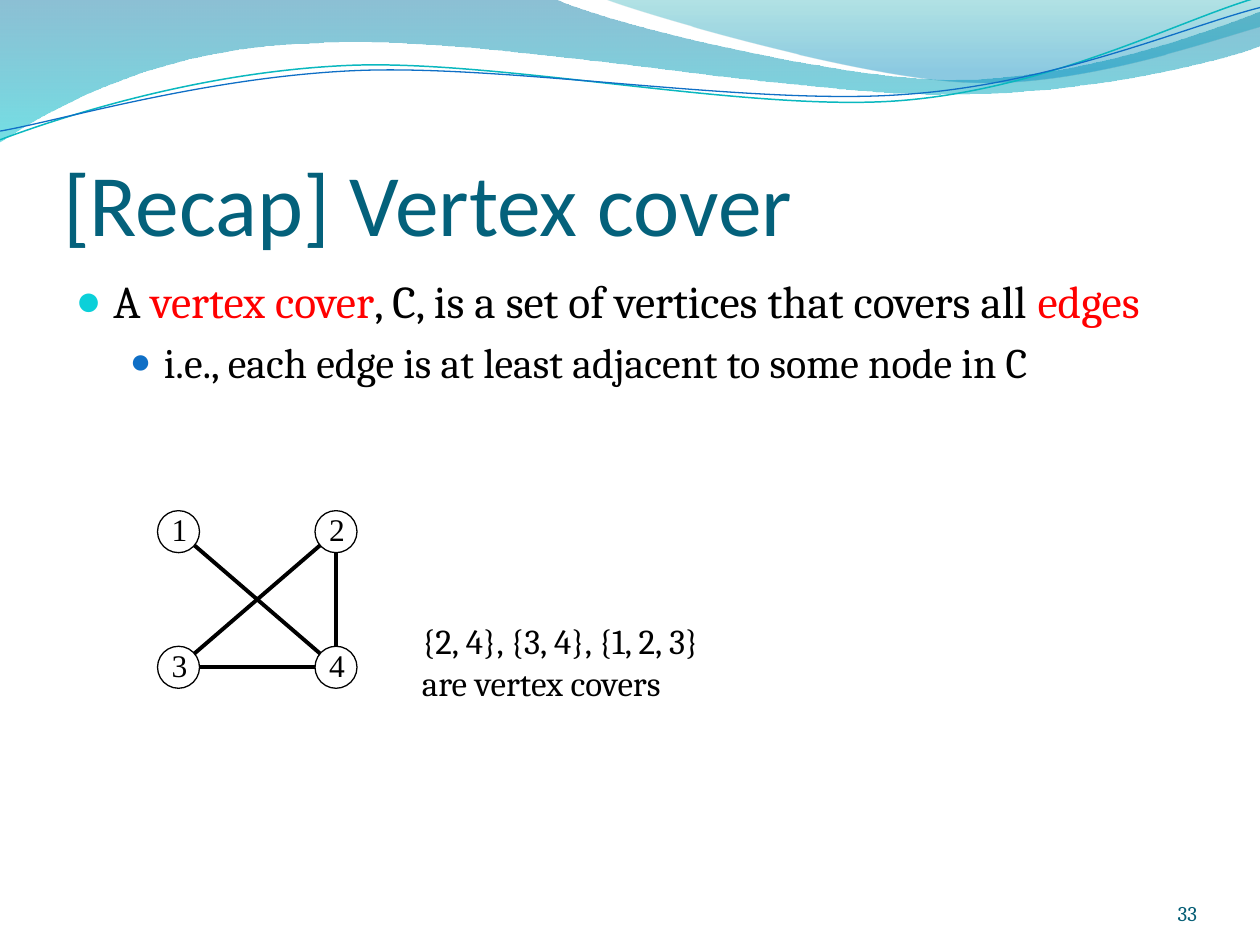
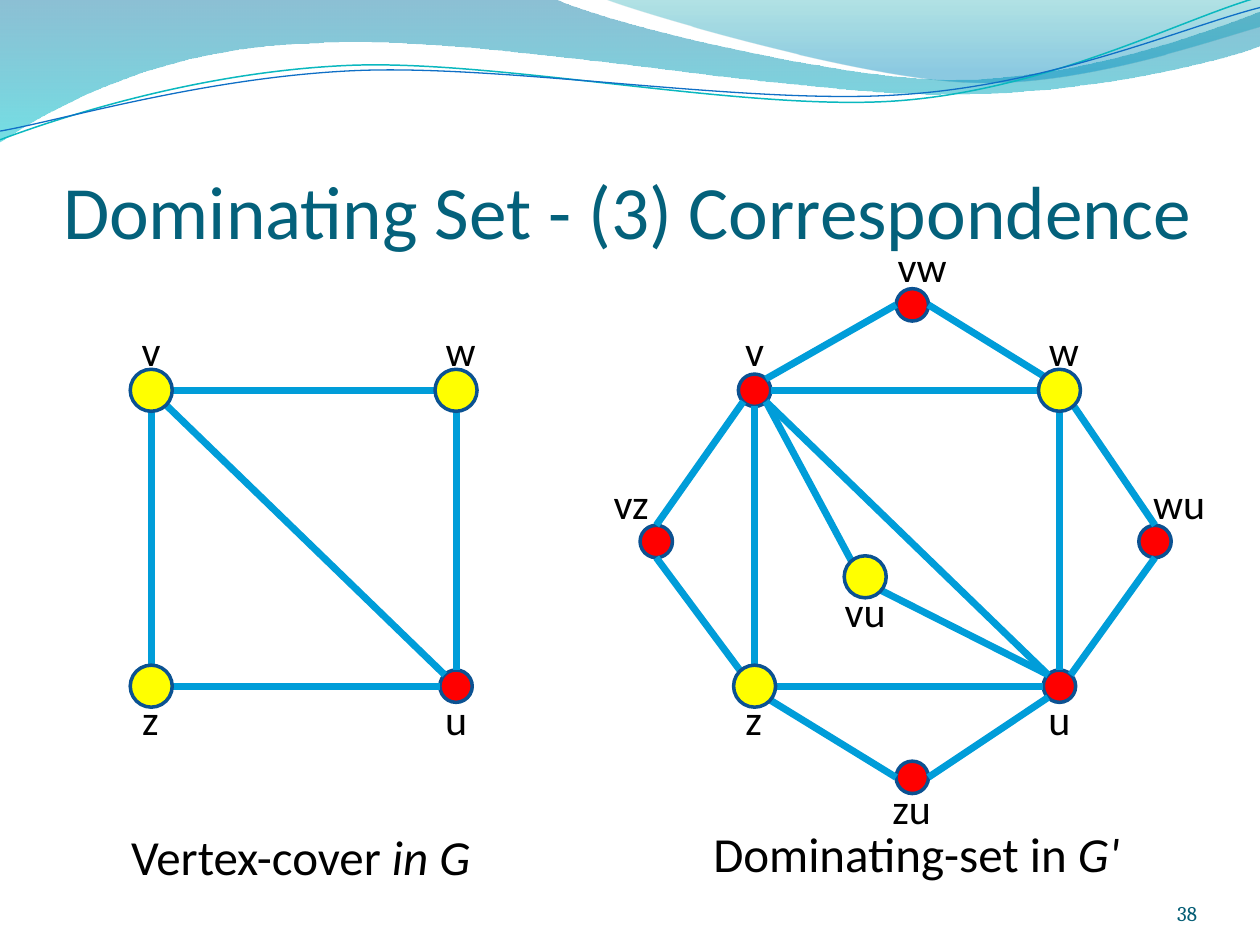
"""Build two slides on vertex covers and dominating sets."""
from dataclasses import dataclass

from lxml import etree
from pptx import Presentation
from pptx.dml.color import RGBColor
from pptx.enum import shapes, text
from pptx.oxml import ns
from pptx.util import Pt


@dataclass(frozen=True)
class Theme:
    """Hold the colours, fonts and type sizes."""
    ink: str = "000000"
    paper: str = "FFFFFF"
    title: str = "04617B"
    folio: str = "045D75"
    red: str = "FF0000"
    yellow: str = "FFFF00"
    rim: str = "0B5292"
    edge: str = "009DD9"
    teal: str = "0AB8BF"
    blue: str = "0F6FC6"
    aqua: str = "0BD0D9"
    sans: str = "Calibri"
    serif: str = "Cambria"
    roman: str = "Times New Roman"
    big: float = 50
    head: float = 43
    caption: float = 28
    lead: float = 26
    sub: float = 24
    note: float = 20
    digit: float = 18
    small: float = 12


T = Theme()
ALIGN = text.PP_ALIGN

BANDS = [
    ([(0, 0), (316.8, -0.7), (342.7, 12.2, 478.1, 45.4, 545.8, 45.4),
      (614.2, 45.4, 689.8, 18.7, 720, 6.5), (720.7, 25.9),
      (707.8, 31.7, 626.4, 54.7, 537.1, 54), (447.8, 54, 275, 20.2, 185, 24.5),
      (92.9, 25.9, 33.1, 59.8, -0.7, 81.4)],
     [(0, "0074A1", 45), (1, "00C6CF", 55)]),
    ([(344.9, -0.7), (366.5, 7.9, 491, 44.6, 553.7, 46.8),
      (616.3, 49.7, 691.9, 23, 720, 15.1), (720, 0)],
     [(0, "00A1A9", 30), (0.8, "008BBF", 45)]),
]
WAVES = [
    ([(0, 79.9), (34.6, 67, 113.8, 41, 199.4, 37.4),
      (284.4, 33.8, 427, 64.1, 513.4, 57.6),
      (599.8, 51.1, 675.4, 10.8, 718.6, -1.4)], T.teal, 0.85),
    ([(0, 74.9), (33.8, 69.1, 118.1, 43.9, 203.8, 40.3),
      (290.2, 36.7, 429.8, 60.5, 516.2, 54),
      (602.6, 48.2, 677.5, 15.1, 720, 4.3)], T.blue, 0.75),
]

SITES = {"n": (0, -1), "e": (1, 0), "s": (0, 1), "w": (-1, 0),
         "ne": (0.7, -0.7), "se": (0.7, 0.7),
         "sw": (-0.7, 0.7), "nw": (-0.7, -0.7)}
GLYPHS = {"v": 10.9, "w": 17.3, "z": 9.7, "u": 12.9}
RADIUS = 9.25
SIDE = 174.2
DROP = 169.1
TOP = 223
SQUARE = ["v.e w.w", "v.s z.n", "z.e u.w", "u.n w.s", "v.se u.nw"]
RING = ["vw.w v.ne", "vw.e w.nw", "vz.s z.nw", "vz.n v.sw", "w.se wu.n",
        "wu.s u.ne", "z.se zu.w", "zu.e u.sw", "vu.nw v.se", "vu.se u.nw"]


def tint(code):
    """Turn a hex code into a colour."""
    return RGBColor.from_string(code)


def bend(shape, steps):
    """Turn each three segments of a curved step into one cubic curve."""
    nodes = iter(list(shape.element.iter(ns.qn("a:lnTo"))))
    for step in steps[1:]:
        group = [next(nodes) for _ in range(len(step) // 2)]
        if len(group) == 3:
            curve = etree.Element(ns.qn("a:cubicBezTo"))
            group[0].addprevious(curve)
            for node in group:
                curve.append(node[0])
                node.getparent().remove(node)


def outline(slide, steps, close):
    """Draw a curved freeform without shadow."""
    flat = [(Pt(step[i]), Pt(step[i + 1]))
            for step in steps for i in range(0, len(step), 2)]
    pen = slide.shapes.build_freeform(*flat[0])
    pen.add_line_segments(flat[1:], close=close)
    shape = pen.convert_to_shape()
    bend(shape, steps)
    shape.shadow.inherit = False
    return shape


def band(slide, steps, stops):
    """Draw a clear gradient band."""
    shape = outline(slide, steps, True)
    shape.line.fill.background()
    shape.fill.gradient()
    shape.fill.gradient_angle = 270
    for stop, (place, code, _) in zip(shape.fill.gradient_stops, stops):
        stop.position = place
        stop.color.rgb = tint(code)
    for node, (_, _, alpha) in zip(shape.element.iter(ns.qn("a:srgbClr")), stops):
        etree.SubElement(node, ns.qn("a:alpha"), val=str(alpha * 1000))
    return shape


def wave(slide, steps, code, width):
    """Draw a thin curved line."""
    shape = outline(slide, steps, False)
    shape.fill.background()
    shape.line.color.rgb = tint(code)
    shape.line.width = Pt(width)
    return shape


def dress(deck, slide):
    """Draw the bands and move them to the master."""
    parts = [band(slide, *b) for b in BANDS] + [wave(slide, *w) for w in WAVES]
    tree = deck.slide_master.shapes.element
    for i, part in enumerate(parts):
        tree.insert(2 + i, part.element)


def place(shape, left, top, width, height):
    """Set the place and size of a shape."""
    shape.left, shape.top = Pt(left), Pt(top)
    shape.width, shape.height = Pt(width), Pt(height)


def write(para, words, font, size, code=T.ink, slant=False):
    """Add one run to a paragraph."""
    run = para.add_run()
    run.text = words
    run.font.name = font
    run.font.size = Pt(size)
    run.font.color.rgb = tint(code)
    if slant:
        run.font.italic = True


def inset(frame, left, top, right, bottom):
    """Set the margins of a text frame."""
    frame.margin_left, frame.margin_top = Pt(left), Pt(top)
    frame.margin_right, frame.margin_bottom = Pt(right), Pt(bottom)


def title(slide, words, size):
    """Fill the title placeholder."""
    place(slide.shapes.title, 36, 55.25, 648, 90)
    frame = slide.shapes.title.text_frame
    inset(frame, 0, 3.6, 0, 0)
    frame.vertical_anchor = text.MSO_ANCHOR.BOTTOM
    frame.auto_size = text.MSO_AUTO_SIZE.NONE
    para = frame.paragraphs[0]
    para.alignment = ALIGN.LEFT
    write(para, words, T.sans, size, T.title)


def bullet(para, level, left, hang, code, scale, size, runs):
    """Write one bulleted paragraph."""
    para.level = level
    para.space_before = Pt(size * 0.2)
    props = para._p.get_or_add_pPr()
    props.set("marL", str(Pt(left)))
    props.set("indent", str(-Pt(hang)))
    hue = etree.SubElement(props, ns.qn("a:buClr"))
    etree.SubElement(hue, ns.qn("a:srgbClr"), val=code)
    etree.SubElement(props, ns.qn("a:buSzPct"), val=str(scale * 1000))
    etree.SubElement(props, ns.qn("a:buChar"), char="●")
    for words, ink in runs:
        write(para, words, T.serif, size, ink)


def folio(slide, number):
    """Write the slide number."""
    box = slide.shapes.add_textbox(Pt(624), Pt(500.5), Pt(60), Pt(28.75))
    frame = box.text_frame
    frame.word_wrap = True
    inset(frame, 0, 0, 0, 0)
    frame.vertical_anchor = text.MSO_ANCHOR.BOTTOM
    frame.paragraphs[0].alignment = ALIGN.RIGHT
    write(frame.paragraphs[0], number, T.serif, T.small, T.folio)


def label(slide, x, y, width, height, lines, font, size,
          align=ALIGN.CENTER, gap=0.0):
    """Write lines of runs in a box centred on a point."""
    box = slide.shapes.add_textbox(Pt(x - width / 2), Pt(y - height / 2),
                                   Pt(width), Pt(height))
    frame = box.text_frame
    frame.word_wrap = False
    frame.auto_size = text.MSO_AUTO_SIZE.SHAPE_TO_FIT_TEXT
    for i, runs in enumerate(lines):
        para = frame.add_paragraph() if i else frame.paragraphs[0]
        para.alignment = align
        para.space_before = Pt(size * gap)
        for words, slant in runs:
            write(para, words, font, size, slant=slant)


def disc(slide, x, y, radius, fill, rim, width):
    """Draw a round node about its centre."""
    shape = slide.shapes.add_shape(shapes.MSO_SHAPE.OVAL, 0, 0, 0, 0)
    place(shape, x - radius, y - radius, 2 * radius, 2 * radius)
    shape.shadow.inherit = False
    shape.fill.solid()
    shape.fill.fore_color.rgb = tint(fill)
    shape.line.color.rgb = tint(rim)
    shape.line.width = Pt(width)


def edge(slide, start, end, code, width):
    """Draw a straight edge between two points."""
    line = slide.shapes.add_connector(
        shapes.MSO_CONNECTOR.STRAIGHT, *(Pt(v) for v in (*start, *end)))
    line.line.color.rgb = tint(code)
    line.line.width = Pt(width)
    etree.SubElement(line.element.spPr, ns.qn("a:effectLst"))


def square(left, reds):
    """Give the four corner nodes as place, label shift and colour."""
    spots = {"v": (0, 0, 0, -22.5), "w": (SIDE, 0, 2.6, -22.5),
             "z": (0, DROP, -0.5, 19), "u": (SIDE, DROP, 0, 19)}
    return {name: (left + x, TOP + y, dx, dy, T.red if name in reds else T.yellow)
            for name, (x, y, dx, dy) in spots.items()}


def graph(slide, nodes, links):
    """Draw red nodes, edges, yellow nodes and labels."""
    def discs(code, radius):
        """Draw all nodes of one colour."""
        for x, y, _, _, fill in nodes.values():
            if fill == code:
                disc(slide, x, y, radius, fill, T.rim, 2)

    def site(name):
        """Find a point on the rim of a node."""
        node, side = name.split(".")
        return tuple(c + RADIUS * d for c, d in zip(nodes[node], SITES[side]))

    discs(T.red, RADIUS)
    for link in links:
        edge(slide, *map(site, link.split()), T.edge, 4)
    discs(T.yellow, 12)
    for name, (x, y, dx, dy, _) in nodes.items():
        width = 14.5 + sum(GLYPHS[glyph] for glyph in name)
        label(slide, x + dx, y + dy, width, 36.7,
              [[(name, False)]], T.sans, T.sub, gap=0.2)


def recap(slide):
    """Build the vertex cover slide."""
    title(slide, "[Recap] Vertex cover", T.big)
    body = slide.placeholders[1]
    place(body, 36, 152.5, 648, 345.5)
    frame = body.text_frame
    frame.auto_size = text.MSO_AUTO_SIZE.NONE
    bullet(frame.paragraphs[0], 0, 21.6, 21.6, T.aqua, 95, T.lead,
           [("A ", T.ink), ("vertex cover", T.red),
            (", C, is a set of vertices that covers all ", T.ink), ("edges", T.red)])
    bullet(frame.add_paragraph(), 1, 50.4, 19.4, T.blue, 85, T.sub,
           [("i.e., each edge is at least adjacent to some node in C", T.ink)])
    folio(slide, "33")
    label(slide, 332, 378, 196, 55.5,
          [[("{2, 4}, {3, 4}, {1, 2, 3}", False)], [("are vertex covers", False)]],
          T.serif, T.note, ALIGN.LEFT)
    spots = {str(i + 1): (102 + 90 * (i % 2), 303.8 + 77.5 * (i // 2))
             for i in range(4)}
    for a, b in ("41", "24", "43", "32"):
        edge(slide, spots[a], spots[b], T.ink, 2.25)
    for x, y in spots.values():
        disc(slide, x, y, 12, T.paper, T.ink, 0.75)
    for name, (x, y) in spots.items():
        label(slide, x + 0.5, y - 1.2, 24, 29, [[(name, False)]], T.roman, T.digit)


def match(slide):
    """Build the dominating set slide."""
    title(slide, "Dominating Set - (3) Correspondence", T.head)
    graph(slide, square(86.4, "u"), SQUARE)
    extra = {"vz": (375, 309.4, -14.3, -22, T.red),
             "wu": (660, 309.4, 13.8, -22, T.red),
             "vw": (521.3, 174.2, 5.7, -22, T.red),
             "zu": (521.3, 444.2, -0.4, 17.7, T.red),
             "vu": (494.4, 329.6, 0, 20, T.yellow)}
    graph(slide, square(431.2, "vu") | extra, SQUARE + RING)
    for x, y, width, words, name in ((171.8, 489.2, 212, "Vertex-cover ", "in G"),
                                     (523.7, 487.4, 250, "Dominating-set in ", "G'")):
        label(slide, x, y, width, 41, [[(words, False), (name, True)]],
              T.sans, T.caption, gap=0.2)
    folio(slide, "38")


def main():
    """Build and save the deck."""
    deck = Presentation()
    deck.slide_width, deck.slide_height = Pt(720), Pt(540)
    first = deck.slides.add_slide(deck.slide_layouts[1])
    dress(deck, first)
    recap(first)
    match(deck.slides.add_slide(deck.slide_layouts[5]))
    deck.save("out.pptx")


main()
